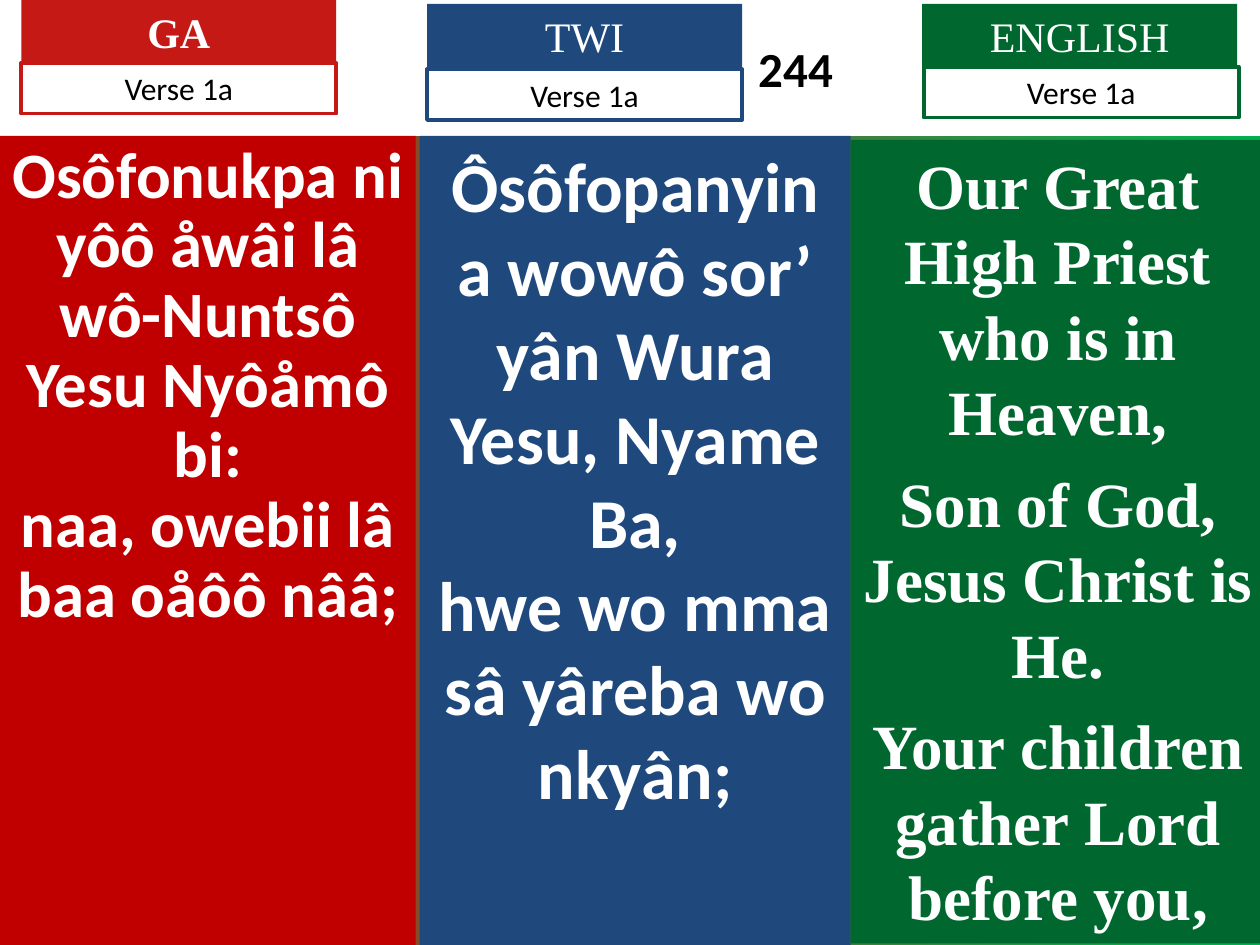
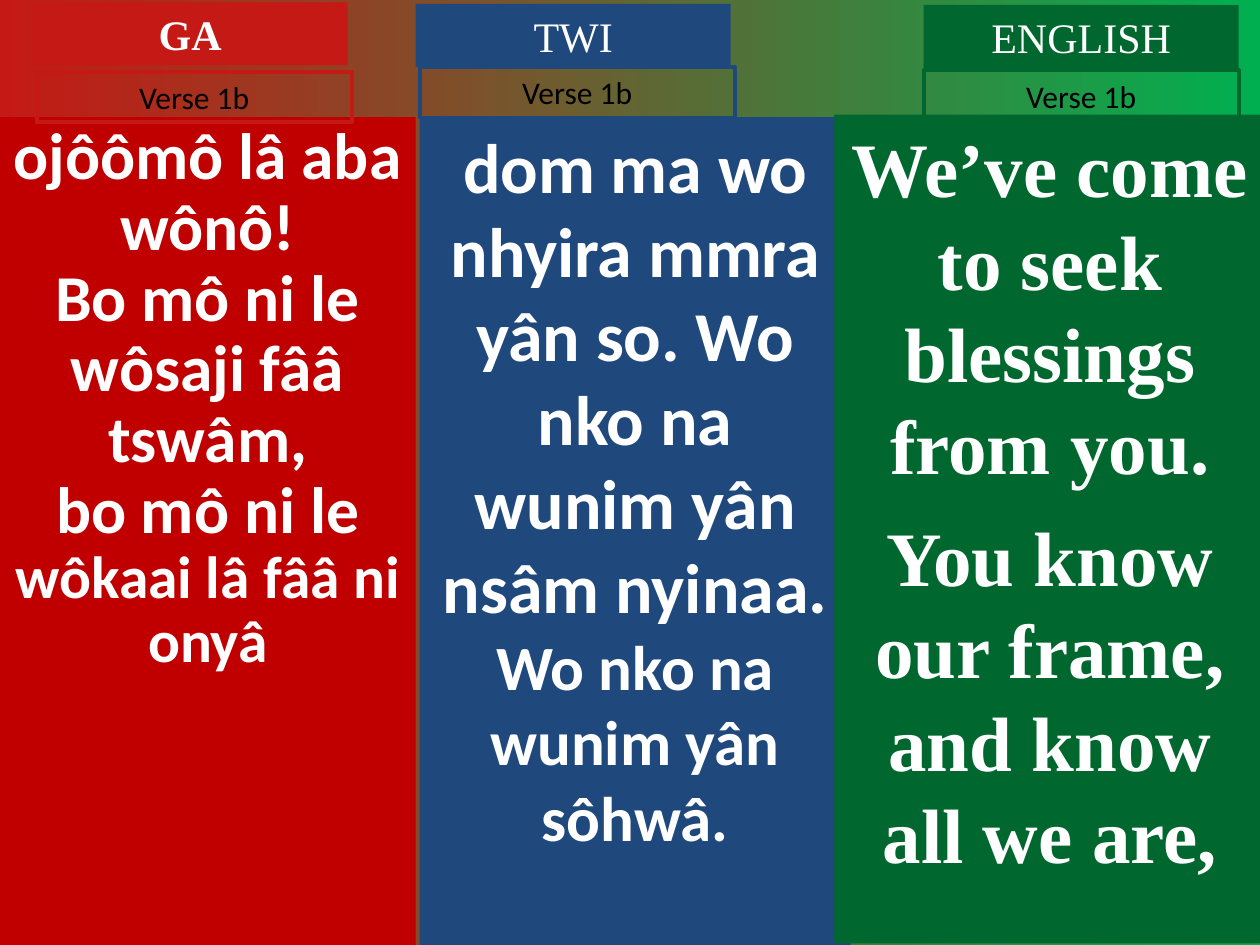
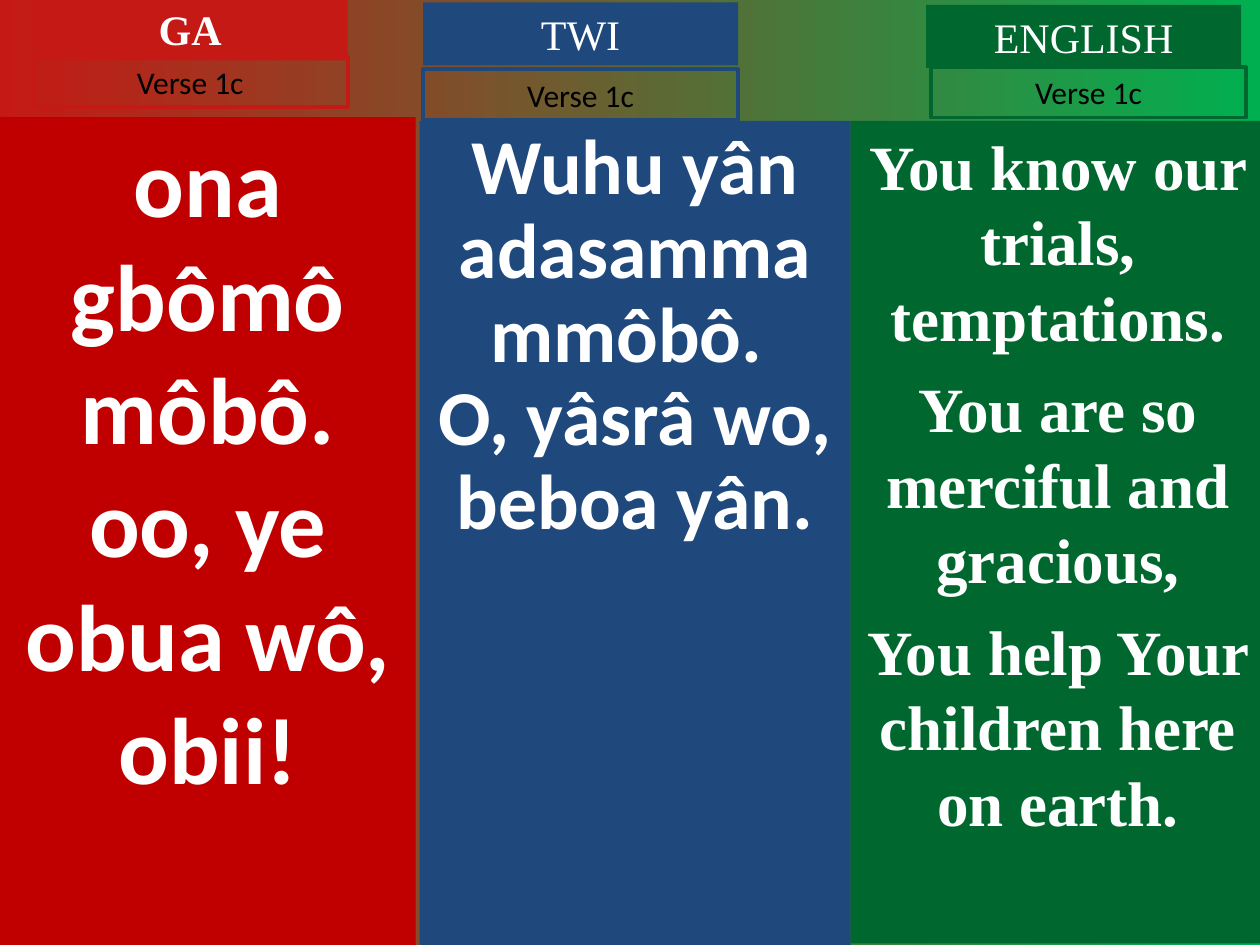
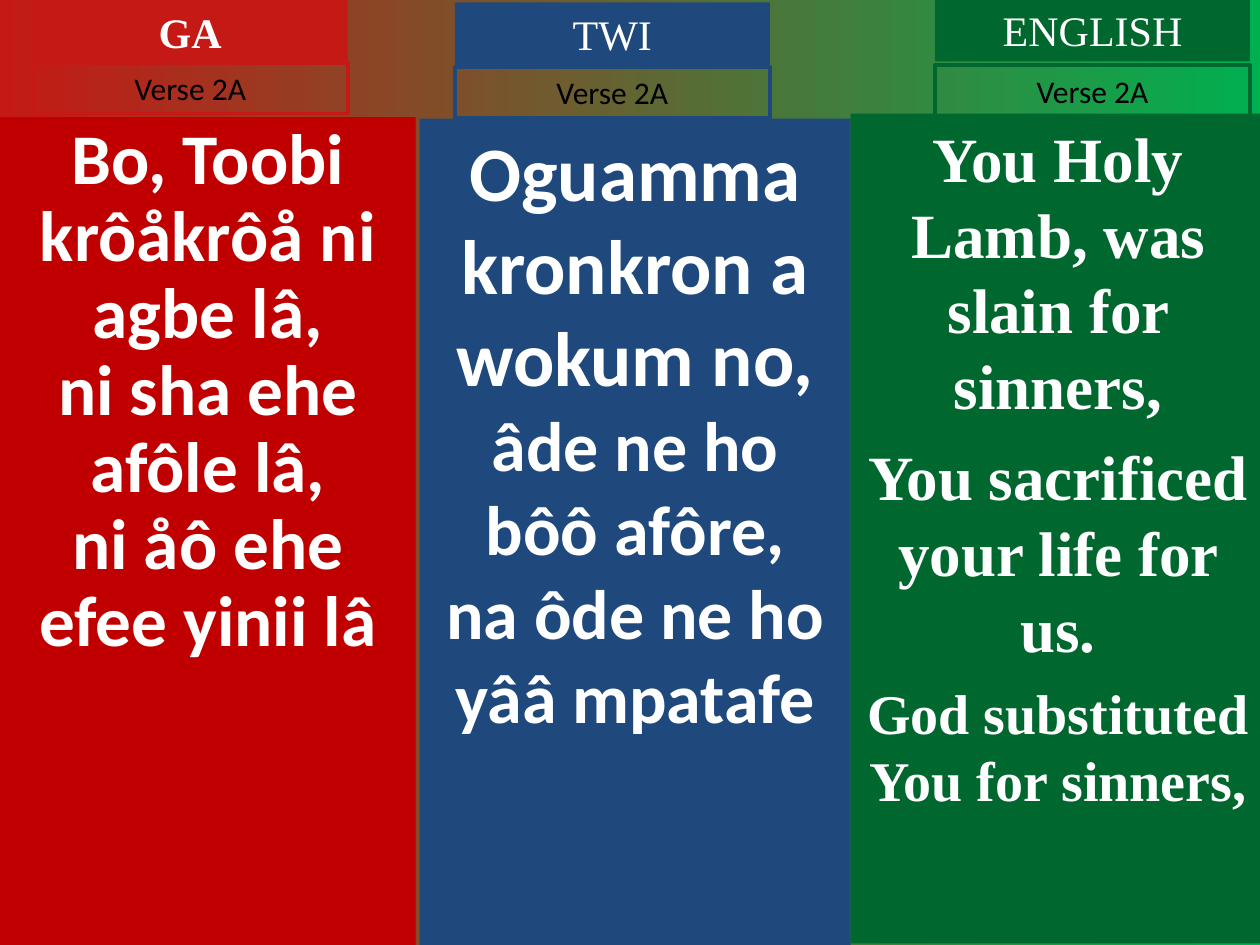
import dataclasses
import typing

import pptx
import pptx.dml.color
import pptx.enum.shapes
import pptx.enum.text
import pptx.util

Cm = pptx.util.Cm
Pt = pptx.util.Pt
Spot = typing.Tuple[float, float]
Piece = typing.Tuple[str, float]

SANS, SERIF = "Calibri", "Times New Roman"
WHITE, BLACK = "FFFFFF", "000000"
START, END = "C51915", "00B050"
WIDE, HIGH = 25.4, 19.05
TAG_W, TAG_H, VERSE_H = 6.35, 1.27, 1.02


@dataclasses.dataclass(frozen=True)
class Tongue:
    name: str
    panel: str
    tag: str
    font: str
    bold: bool
    left: float
    width: float
    base: float


@dataclasses.dataclass(frozen=True)
class Column:
    tongue: Tongue
    top: float
    tag: Spot
    verse: Spot
    lines: typing.List[typing.List[Piece]]
    pitch: typing.Optional[float] = None
    gaps: typing.Tuple[float, ...] = ()
    shift: float = 0


@dataclasses.dataclass(frozen=True)
class Page:
    verse: str
    cols: typing.List[Column]
    hymn: str = ""


GA = Tongue("GA", "C00000", START, SANS, True, 0, 8.38, HIGH)
TWI = Tongue("TWI", "1F497D", "1F497D", SANS, False, 8.46, 8.69, HIGH)
ENG = Tongue("ENGLISH", "00682F", "00682F", SERIF, False, 17.15, 8.36, 19.02)


def plain(size: float, *texts: str) -> typing.List[typing.List[Piece]]:
    return [[(text, size)] for text in texts]


PAGES = [
    Page("Verse 1a", [
        Column(GA, 2.74, (0.43, 0), (0.43, 1.27), plain(
            37, "Osôfonukpa ni yôô åwâi lâ wô-Nuntsô Yesu Nyôåmô bi:",
            "naa, owebii lâ baa oåôô nââ; "), 0.9),
        Column(TWI, 2.74, (8.61, 0.08), (8.61, 1.4), plain(
            40, "Ôsôfopanyin a wowô sor’ yân Wura Yesu, Nyame Ba,",
            "hwe wo mma sâ yâreba wo nkyân;")),
        Column(ENG, 2.82, (18.59, 0.08), (18.62, 1.35), plain(
            36, "Our Great High Priest who is in Heaven,",
            "Son of God, Jesus Christ is He.",
            "Your children gather Lord before you,"), gaps=(0, 9, 9)),
    ], "244"),
    Page("Verse 1b", [
        Column(GA, 2.36, (0.66, 0.05), (0.74, 1.45), plain(
            37.4, "ojôômô lâ aba wônô!", "Bo mô ni le wôsaji fââ tswâm,")
            + [[("bo mô ni le ", 37.4), ("wôkaai lâ fââ ni onyâ", 34)]], 0.9),
        Column(TWI, 2.36, (8.38, 0.08), (8.46, 1.35), [[
            ("dom ma wo nhyira mmra yân so. Wo nko na wunim yân nsâm nyinaa. ", 40),
            ("Wo nko na wunim yân sôhwâ.", 36)]]),
        Column(ENG, 2.31, (18.62, 0.1), (18.62, 1.42), plain(
            44, "We’ve come to seek blessings from you.",
            "You know our frame, and know all we are,"), gaps=(0, 11), shift=0.33),
    ]),
    Page("Verse 1c", [
        Column(GA, 2.36, (0.66, -0.05), (0.66, 1.14), plain(
            54, "ona gbômô môbô.", "oo, ye obua wô, obii!")),
        Column(TWI, 2.44, (8.53, 0.05), (8.53, 1.4), plain(
            44.4, "Wuhu yân adasamma mmôbô. ", "O, yâsrâ wo, beboa yân."), 0.9),
        Column(ENG, 2.44, (18.67, 0.1), (18.77, 1.35), plain(
            36, "You know our trials, temptations.",
            "You are so merciful and gracious,",
            "You help Your children here on earth."), gaps=(0, 9, 9)),
    ]),
    Page("Verse 2A", [
        Column(GA, 2.36, (0.66, 0), (0.66, 1.27), plain(
            40.7, "Bo, Toobi krôåkrôå ni agbe lâ,", "ni sha ehe afôle lâ,",
            "ni åô ehe efee yinii lâ"), 0.9),
        Column(TWI, 2.39, (9.17, 0.05), (9.17, 1.35),
               plain(44, "Oguamma kronkron a wokum no,")
               + plain(40, "âde ne ho bôô afôre,", "na ôde ne ho yââ mpatafe")),
        Column(ENG, 2.29, (18.85, -0.03), (18.85, 1.32),
               plain(36, "You Holy Lamb, was slain for sinners,",
                     "You sacrificed your life for us.")
               + plain(32, "God substituted You for sinners,"), gaps=(0, 9, 8)),
    ]),
]


def paint(color, code: str) -> None:
    color.rgb = pptx.dml.color.RGBColor.from_string(code)


def block(slide, left: float, top: float, width: float, height: float,
          fill: str = "", edge: str = ""):
    shape = slide.shapes.add_shape(
        pptx.enum.shapes.MSO_SHAPE.RECTANGLE, Cm(left), Cm(top), Cm(width), Cm(height))
    shape.shadow.inherit = False
    if fill:
        shape.fill.solid()
        paint(shape.fill.fore_color, fill)
    else:
        shape.fill.background()
    if edge:
        paint(shape.line.color, edge)
        shape.line.width = Pt(2.25)
    else:
        shape.line.fill.background()
    frame = shape.text_frame
    frame.word_wrap = True
    frame.vertical_anchor = pptx.enum.text.MSO_ANCHOR.TOP
    return shape


def write(shape, lines: typing.List[typing.List[Piece]], font: str, ink: str, bold: bool,
          pitch: typing.Optional[float] = None, gaps: typing.Tuple[float, ...] = ()) -> None:
    frame = shape.text_frame
    frame.text = "\n".join(pieces[0][0] for pieces in lines)
    for spot, (para, pieces) in enumerate(zip(frame.paragraphs, lines)):
        para.alignment = pptx.enum.text.PP_ALIGN.CENTER
        if pitch:
            para.line_spacing = pitch
        if gaps and gaps[spot]:
            para.space_before = Pt(gaps[spot])
        for text, _ in pieces[1:]:
            para.add_run().text = text
        for run, (_, size) in zip(para.runs, pieces):
            run.font.name = font
            run.font.size = Pt(size)
            run.font.bold = bold
            paint(run.font.color, ink)


def label(slide, spot: Spot, height: float, text: str, size: float, font: str,
          ink: str, bold: bool, fill: str = "", edge: str = "") -> None:
    shape = block(slide, *spot, TAG_W, height, fill, edge)
    write(shape, plain(size, text), font, ink, bold)
    shape.text_frame.auto_size = pptx.enum.text.MSO_AUTO_SIZE.SHAPE_TO_FIT_TEXT


def panel(slide, col: Column) -> None:
    kind = col.tongue
    shape = block(slide, kind.left - col.shift, col.top, kind.width + col.shift,
                  kind.base - col.top, kind.panel)
    write(shape, col.lines, kind.font, WHITE, True, col.pitch, col.gaps)


def heads(slide, col: Column, verse: str) -> None:
    kind = col.tongue
    label(slide, col.tag, TAG_H, kind.name, 24, SERIF, WHITE, kind.bold, fill=kind.tag)
    label(slide, col.verse, VERSE_H, verse, 18, SANS, BLACK, False, edge=kind.tag)


def band(slide, text: str) -> None:
    shape = block(slide, 0, 0, WIDE, 2.74, WHITE)
    write(shape, plain(28, text), SANS, BLACK, True)
    shape.text_frame.vertical_anchor = pptx.enum.text.MSO_ANCHOR.MIDDLE
    shape.text_frame.margin_left = Cm(6.95)


def draw(deck, page: Page) -> None:
    slide = deck.slides.add_slide(deck.slide_layouts[6])
    fill = slide.background.fill
    fill.gradient()
    fill.gradient_angle = 0
    for stop, code, place in zip(fill.gradient_stops, (START, END), (0, 1)):
        paint(stop.color, code)
        stop.position = place
    if page.hymn:
        band(slide, page.hymn)
    for col in page.cols:
        panel(slide, col)
    for col in page.cols:
        heads(slide, col, page.verse)


def main() -> None:
    deck = pptx.Presentation()
    deck.slide_width, deck.slide_height = Cm(WIDE), Cm(HIGH)
    for page in PAGES:
        draw(deck, page)
    deck.save("out.pptx")


if __name__ == "__main__":
    main()
